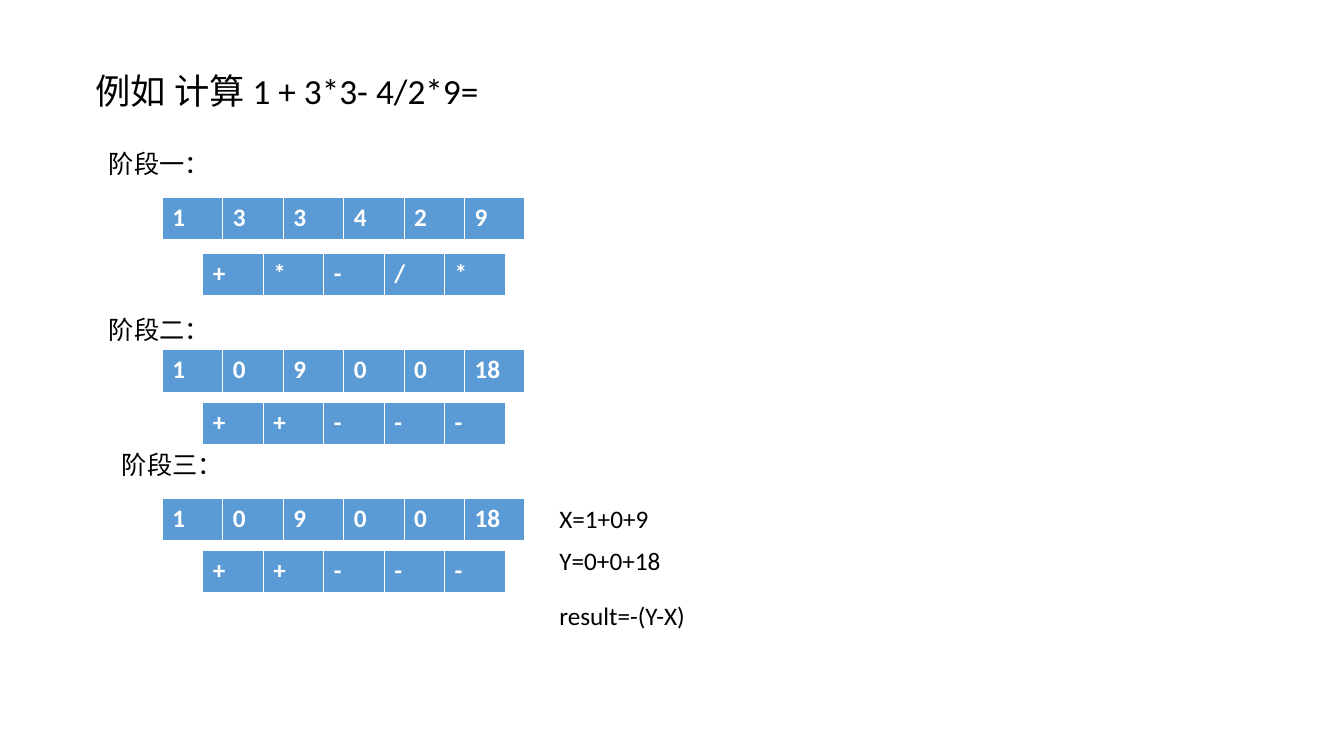
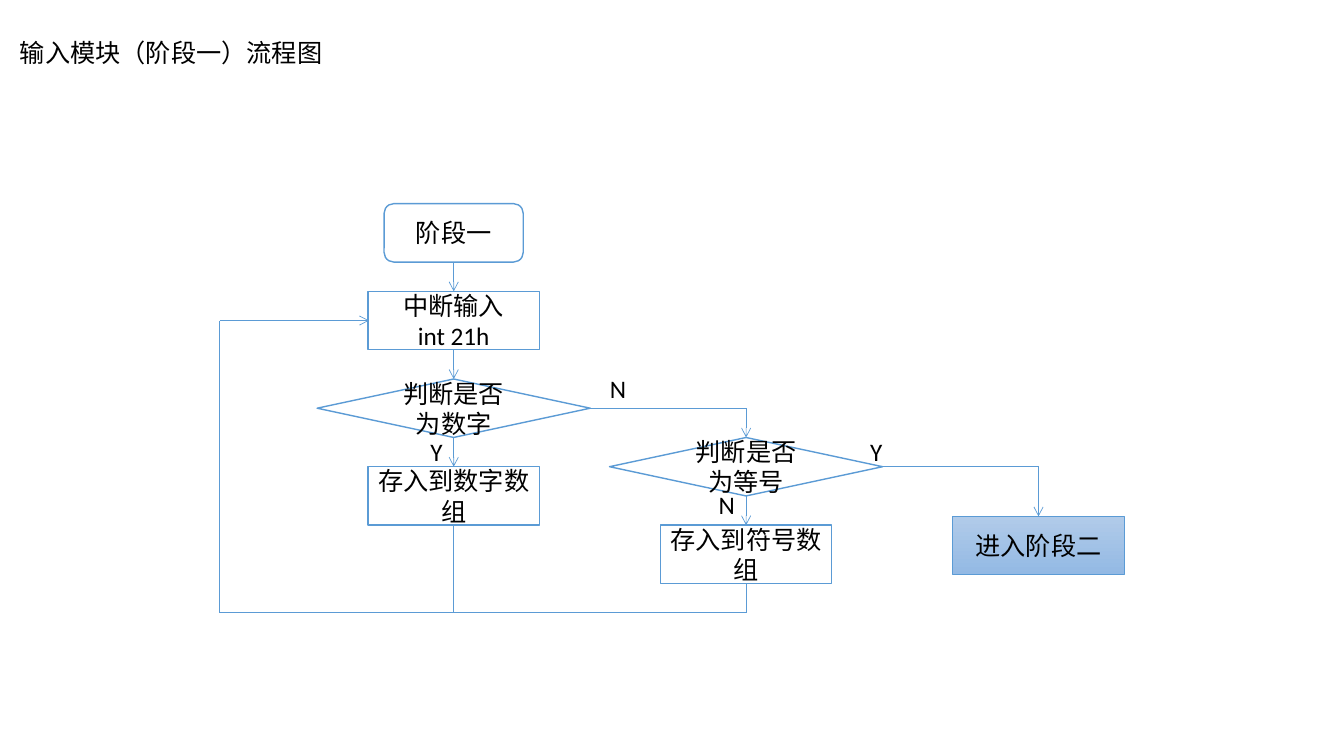
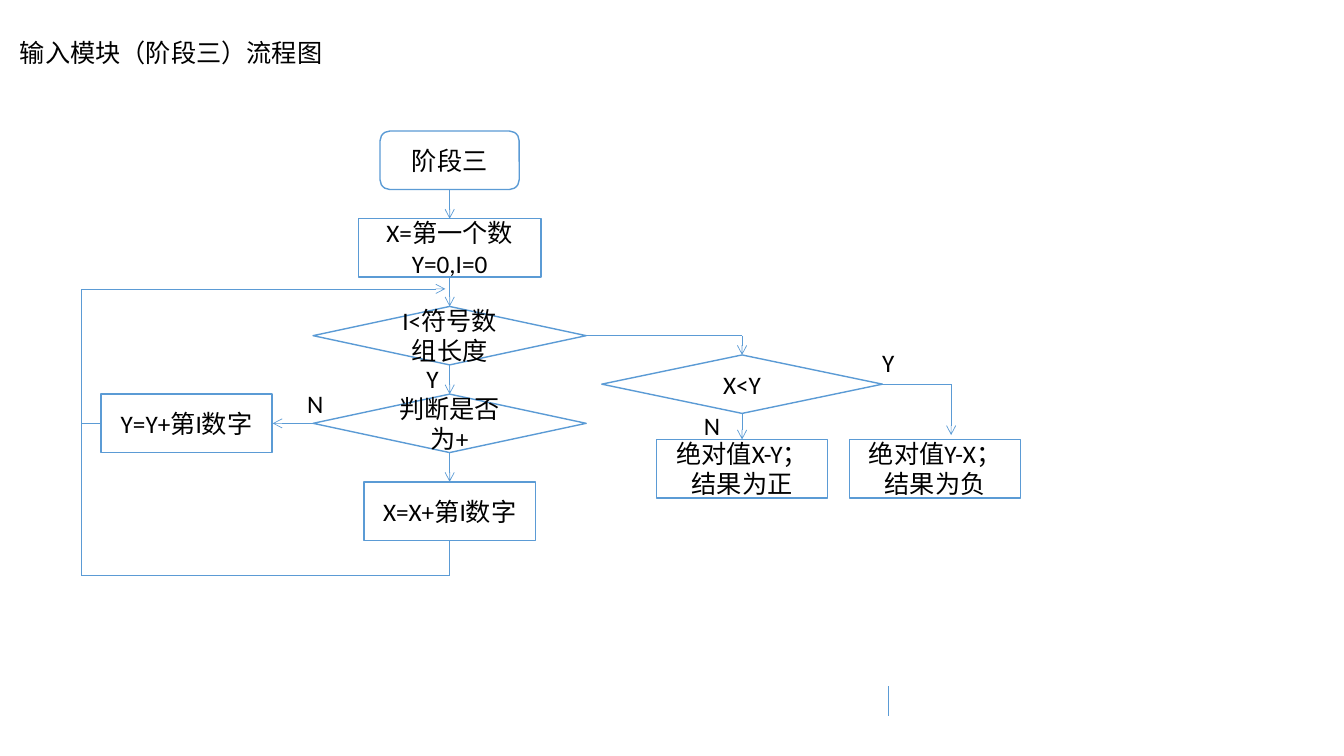
from dataclasses import dataclass
from typing import Any

from lxml.etree import SubElement as Sub
from pptx import Presentation
from pptx.dml.color import RGBColor
from pptx.enum.shapes import MSO_CONNECTOR as Wire, MSO_SHAPE as Form
from pptx.enum.text import MSO_ANCHOR as Anchor, PP_ALIGN as Align
from pptx.oxml.ns import qn
from pptx.util import Inches, Pt

FONT, SIZE = "Calibri", 18
BLUE, WHITE, BLACK = "5B9BD5", "FFFFFF", "000000"
STEP = 0.29
TALL = 2
CELL = 0.6


@dataclass
class Grid:
    """A slide with square steps counted from an origin in inches."""
    slide: Any
    left: float = 0
    top: float = 0

    def spot(self, col, row):
        """Turn a column and a row into slide lengths."""
        return Inches(self.left + col * STEP), Inches(self.top + row * STEP)


def span(steps):
    """Turn a count of steps into a length."""
    return Inches(steps * STEP)


def tint(code):
    """Turn a hex string into a colour."""
    return RGBColor.from_string(code)


def write(frame, text, size=SIZE, color=BLACK, bold=False,
          align=Align.LEFT, anchor=Anchor.TOP, lead=None):
    """Fill a text frame, one paragraph for each line."""
    frame.word_wrap = True
    frame.vertical_anchor = anchor
    for num, line in enumerate(text.split("\n")):
        para = frame.add_paragraph() if num else frame.paragraphs[0]
        para.alignment = align
        para.line_spacing = lead
        run = para.add_run()
        run.text = line
        font = run.font
        font.name, font.size, font.bold = FONT, Pt(size), bold
        font.color.rgb = tint(color)


def label(grid, col, row, text, wide=11, **style):
    """Place plain text with its top left corner on the grid."""
    box = grid.slide.shapes.add_textbox(*grid.spot(col, row), span(wide), Inches(0.4))
    write(box.text_frame, text, **style)


def tag(grid, col, row, text):
    """Place a branch letter centred on a grid point."""
    label(grid, col - 1, row - 0.69, text, wide=2, align=Align.CENTER)


def strip(grid, col, row, items):
    """Draw a one-row table of values."""
    table = grid.slide.shapes.add_table(
        1, len(items), *grid.spot(col, row), Inches(CELL * len(items)), Inches(0.42)).table
    for cell, item in zip(table.rows[0].cells, items):
        cell.fill.solid()
        cell.fill.fore_color.rgb = tint(BLUE)
        write(cell.text_frame, item, color=WHITE, bold=True)


def node(grid, col, row, text, form=Form.RECTANGLE, wide=5.86, shade=None):
    """Draw a flow box centred on a column, with its top on a row."""
    box = grid.slide.shapes.add_shape(
        form, *grid.spot(col - wide / 2, row), span(wide), span(TALL))
    box.shadow.inherit = False
    if shade:
        box.fill.gradient()
        box.fill.gradient_angle = 270
        for stop, code in zip(box.fill.gradient_stops, shade):
            stop.color.rgb = tint(code)
    else:
        box.fill.solid()
        box.fill.fore_color.rgb = tint(WHITE)
    box.line.color.rgb = tint(BLUE)
    box.line.width = Pt(0.5 if shade else 1)
    write(box.text_frame, text, align=Align.CENTER, anchor=Anchor.MIDDLE)


def start(grid, text):
    """Draw the rounded first box."""
    node(grid, 0, 0, text, form=Form.FLOWCHART_ALTERNATE_PROCESS, wide=4.76)


def choice(grid, col, row, text, wide=9.34):
    """Draw a decision diamond."""
    node(grid, col, row, text, form=Form.FLOWCHART_DECISION, wide=wide)


def wire(grid, *points, arrow=True):
    """Join grid points by lines, with an arrow on the last one."""
    for num, (head, tail) in enumerate(zip(points, points[1:]), 2):
        line = grid.slide.shapes.add_connector(
            Wire.STRAIGHT, *grid.spot(*head), *grid.spot(*tail))
        line.line.color.rgb = tint(BLUE)
        line.line.width = Pt(0.5)
        props = line.element.spPr
        if arrow and num == len(points):
            Sub(props.find(qn("a:ln")), qn("a:tailEnd"), type="arrow")
        Sub(props, qn("a:effectLst"))


def drop(grid, *rows, col=0):
    """Draw a short arrow down from each row."""
    for row in rows:
        wire(grid, (col, row), (col, row + 1))


def head(slide, part):
    """Write the heading of a flow chart."""
    label(Grid(slide), 0.34, 1.1, f"输入模块（{part}）流程图", wide=14)


def sums(slide):
    """Show the worked example in three stages."""
    grid = Grid(slide, 1.61, 1.42)
    label(grid, -2.62, -2.52, "例如 计算 1 + 3*3- 4/2*9=", wide=39.66, size=25.2, lead=0.9)
    late = ["1", "0", "9", "0", "0", "18"], "++---"
    stages = [
        ("阶段一：", -2.17, 0, 1.86, 3.76, ("133429", "+*-/*")),
        ("阶段二：", -2.17, 5.69, 7.07, 8.86, late),
        ("阶段三：", -1.72, 10.31, 12.14, 13.93, late),
    ]
    for name, col, row, upper, lower, (nums, signs) in stages:
        label(grid, col, row, name)
        strip(grid, 0, upper, nums)
        strip(grid, 1.38, lower, signs)
    for row, text in [(12.14, "X=1+0+9"), (13.59, "Y=0+0+18"), (15.48, "result=-(Y-X)")]:
        label(grid, 13.24, row, text)


def entry(slide):
    """Draw the flow of stage one."""
    head(slide, "阶段一")
    grid = Grid(slide, 4.5, 2.02)
    drop(grid, 2, 5, 8)
    drop(grid, 10, col=10)
    wire(grid, (4.67, 7), (10, 7), (10, 8))
    wire(grid, (14.67, 9), (20, 9), (20, 10.7))
    wire(grid, (10, 13), (10, 14), (-8, 14), (-8, 4), (-2.9, 4))
    wire(grid, (0, 11), (0, 14), arrow=False)
    start(grid, "阶段一")
    node(grid, 0, 3, "中断输入\nint 21h")
    choice(grid, 0, 6, "判断是否为数字")
    node(grid, 0, 9, "存入到数字数组")
    choice(grid, 10, 8, "判断是否为等号")
    node(grid, 10, 11, "存入到符号数组")
    node(grid, 20, 10.7, "进入阶段二", shade=("B1CBE9", "93B9E4"))
    for spot in [(5.62, 6.31, "N"), (-0.59, 8.48, "Y"), (9.34, 10.28, "N"), (14.45, 8.48, "Y")]:
        tag(grid, *spot)


def total(slide):
    """Draw the flow of stage three."""
    head(slide, "阶段三")
    grid = Grid(slide, 4.46, 1.3)
    drop(grid, 2, 5, 8, 11)
    drop(grid, 9.55, col=10)
    wire(grid, (4.67, 7), (10, 7), (10, 7.66))
    wire(grid, (14.8, 8.66), (17.15, 8.66), (17.15, 10.4))
    wire(grid, (-4.67, 10), (-6.05, 10))
    wire(grid, (0, 14), (0, 15.2), (-12.6, 15.2), (-12.6, 5.4), (-0.15, 5.4))
    wire(grid, (-12.6, 10), (-11.9, 10), arrow=False)
    wire(grid, (15, 20), (15, 19), arrow=False)
    start(grid, "阶段三")
    node(grid, 0, 3, "X=第一个数\nY=0,I=0", wide=6.24)
    choice(grid, 0, 6, "I<符号数组长度")
    choice(grid, 0, 9, "判断是否为+")
    node(grid, 0, 12, "X=X+第I数字")
    node(grid, -9, 9, "Y=Y+第I数字")
    choice(grid, 10, 7.66, "X<Y", wide=9.6)
    node(grid, 10, 10.55, "绝对值X-Y；\n结果为正")
    node(grid, 16.6, 10.55, "绝对值Y-X；\n结果为负")
    for spot in [(-4.6, 9.31, "N"), (-0.59, 8.45, "Y"), (8.97, 10.07, "N"), (15, 7.93, "Y")]:
        tag(grid, *spot)


def main():
    """Build the slides and save them."""
    deck = Presentation()
    deck.slide_width, deck.slide_height = Inches(13.33), Inches(7.5)
    for draw in (sums, entry, total):
        draw(deck.slides.add_slide(deck.slide_layouts[6]))
    deck.save("out.pptx")


if __name__ == "__main__":
    main()
